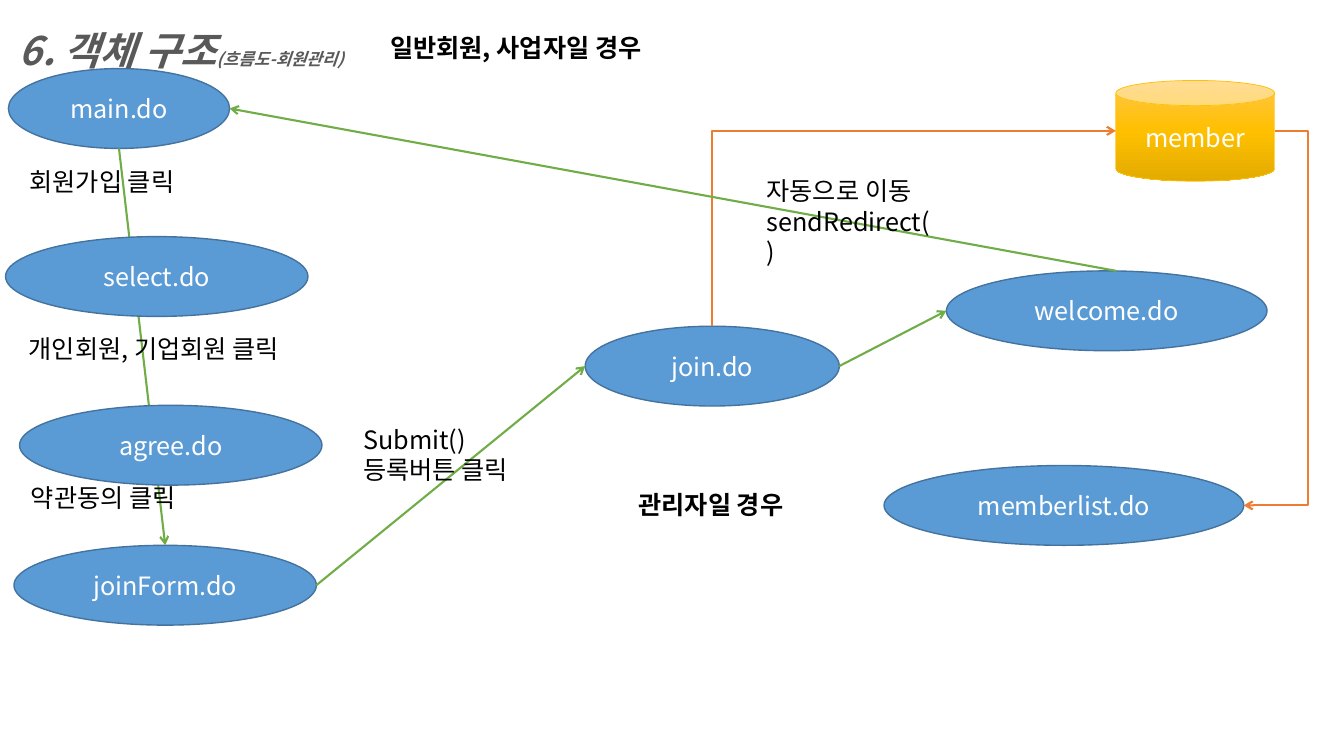
from collections import namedtuple
from copy import deepcopy
from dataclasses import dataclass

from lxml.etree import SubElement
from pptx import Presentation
from pptx.dml.color import RGBColor as RGB
from pptx.enum.shapes import MSO_CONNECTOR as Link, MSO_SHAPE as Form
from pptx.enum.text import MSO_ANCHOR as Anchor, MSO_AUTO_SIZE as Auto, PP_ALIGN as Align
from pptx.oxml.ns import qn
from pptx.util import Pt

Box = namedtuple("Box", "x y w h")


@dataclass(frozen=True)
class Theme:
    face: str = "Noto Sans CJK KR"
    body: int = 18
    head: int = 28
    note: int = 12
    ink: str = "000000"
    grey: str = "595959"
    white: str = "FFFFFF"
    blue: str = "5B9BD5"
    edge: str = "43739E"
    green: str = "70AD47"
    orange: str = "ED7D31"
    gold: str = "FFC000"
    shades: tuple = ("FFC64B", "FFC000", "E3AB00")


T = Theme()
TALL = 57
LINE = 29


def tune(item, **values):
    for name, value in values.items():
        setattr(item, name, value)


def write(par, text, size=T.body, color=T.ink, **style):
    run = par.add_run()
    run.text = text
    run.font.color.rgb = RGB.from_string(color)
    tune(run.font, name=T.face, size=Pt(size), **style)
    SubElement(run.font._element, qn("a:ea"), typeface=T.face)


def label(slide, box, lines, **style):
    """Put one paragraph per line in a text box that grows downward."""
    frame = slide.shapes.add_textbox(*map(Pt, box)).text_frame
    tune(frame, word_wrap=True, auto_size=Auto.SHAPE_TO_FIT_TEXT)
    for i, line in enumerate(lines):
        write(frame.add_paragraph() if i else frame.paragraphs[0], line, **style)
    return frame


def node(slide, box, name, form=Form.OVAL, edge=T.edge, width=1):
    shape = slide.shapes.add_shape(form, *map(Pt, box))
    shape.shadow.inherit = False
    shape.fill.solid()
    shape.fill.fore_color.rgb = RGB.from_string(T.blue)
    shape.line.color.rgb = RGB.from_string(edge)
    shape.line.width = Pt(width)
    shape.text_frame.vertical_anchor = Anchor.MIDDLE
    par = shape.text_frame.paragraphs[0]
    par.alignment = Align.CENTER
    write(par, name, color=T.white)
    return shape


def side(shape, across, down):
    """Point at a share of the shape's width and height."""
    return (shape.left + int(shape.width * across),
            shape.top + int(shape.height * down))


def arrow(slide, start, end, color=T.green, kind=Link.STRAIGHT):
    link = slide.shapes.add_connector(kind, *start, *end)
    link.line.color.rgb = RGB.from_string(color)
    link.line.width = Pt(1.5)
    SubElement(link.line._ln, qn("a:tailEnd"), type="arrow")
    SubElement(link._element.spPr, qn("a:effectLst"))
    return link


def rise(slide, start, end):
    """Elbow arrow that goes up first and then right."""
    mid_x, mid_y = (start[0] + end[0]) // 2, (start[1] + end[1]) // 2
    half_w, half_h = (start[1] - end[1]) // 2, (end[0] - start[0]) // 2
    link = arrow(slide, (mid_x + half_w, mid_y + half_h),
                 (mid_x - half_w, mid_y - half_h), T.orange, Link.ELBOW)
    form = link._element.spPr
    form.find(qn("a:xfrm")).set("rot", str(90 * 60000))
    form.find(qn("a:prstGeom")).set("prst", "bentConnector2")


def loop(slide, start, end, reach):
    """Elbow arrow that swings out right by reach and comes back."""
    link = arrow(slide, start, end, T.orange, Link.ELBOW)
    form = link._element.spPr.find(qn("a:prstGeom"))
    guides = form.find(qn("a:avLst"))
    if guides is None:
        guides = SubElement(form, qn("a:avLst"))
    share = -round(reach / (start[0] - end[0]) * 100000)
    SubElement(guides, qn("a:gd"), name="adj1", fmla=f"val {share}")


def entry(slide, box):
    """Sign-up steps down the left; gives back the first and last step."""
    def step(x, y, w, name):
        return node(slide, (box.x + x, box.y + y, w, TALL), name)

    last = step(10, 340.5, 216, "joinForm.do")
    first = step(6, 0, 158, "main.do")
    arrow(slide, side(first, .5, 1), side(last, .5, 0))
    step(14, 240.5, 216, "agree.do")
    step(4, 120, 216, "select.do")
    for x, y, w, text in ((14, 66, 133, "회원가입 클릭"),
                          (13.5, 185.5, 213, "개인회원, 기업회원 클릭"),
                          (15, 292, 133, "약관동의 클릭")):
        label(slide, (box.x + x, box.y + y, w, LINE), [text])
    return first, last


def store(slide, box):
    """Database can, shaded from top to bottom."""
    can = node(slide, box, "member", Form.CAN, T.gold, .5)
    can.fill.gradient()
    can.fill.gradient_angle = 270
    stops = can._element.spPr.find(qn("a:gradFill")).find(qn("a:gsLst"))
    stops.insert(1, deepcopy(stops[0]))
    for i, (stop, shade) in enumerate(zip(can.fill.gradient_stops, T.shades)):
        stop.color.rgb = RGB.from_string(shade)
        stop.position = i / 2
    return can


def signup(slide, box, first, last, can):
    """Joining and welcome steps, linked to the entry steps and the store."""
    join = node(slide, (box.x, box.y + 39.5, 181.5, TALL), "join.do")
    hello = node(slide, (box.x + 258, box.y, 229, TALL), "welcome.do")
    arrow(slide, side(last, 1, .5), side(join, 0, .5))
    arrow(slide, side(join, 1, .5), side(hello, 0, .5))
    rise(slide, side(join, .5, 0), side(can, 0, .5))
    arrow(slide, side(hello, .53, 0), side(first, 1, .5))
    label(slide, (box.x + 122.5, box.y - 71.5, 131, 51),
          ["자동으로 이동", "sendRedirect()"])
    label(slide, (box.x - 165.5, box.y + 106, 130, 51),
          ["Submit()", "등록버튼 클릭"])


def admin(slide, box, can):
    """Administrator case: the list fed from the store."""
    label(slide, (box.x, box.y + 13.5, 174, LINE), ["관리자일 경우"], bold=True)
    width = 257
    page = node(slide, (box.x + box.w - width, box.y, width, TALL), "memberlist.do")
    loop(slide, side(can, 1, .5), side(page, 1, .5), Pt(24))


def title(slide, box):
    label(slide, (box.x + 265, box.y + 21, 294.5, LINE),
          ["일반회원, 사업자일 경우"], bold=True)
    look = dict(color=T.grey, bold=True, italic=True)
    frame = label(slide, box, ["6. 객체 구조"], size=T.head, **look)
    par = frame.paragraphs[0]
    par.line_spacing = 1.5
    write(par, "(흐름도-회원관리)", T.note, **look)


def main():
    deck = Presentation()
    tune(deck, slide_width=Pt(960), slide_height=Pt(540))
    slide = deck.slides.add_slide(deck.slide_layouts[6])
    first, last = entry(slide, Box(0, 49, 232, 398))
    can = store(slide, Box(797, 57.5, 113.5, 72))
    signup(slide, Box(418, 193.5, 487, 97), first, last, can)
    admin(slide, Box(449, 332.5, 439.5, TALL), can)
    title(slide, Box(6.5, -1.5, 479, 58))
    deck.save("out.pptx")


if __name__ == "__main__":
    main()
